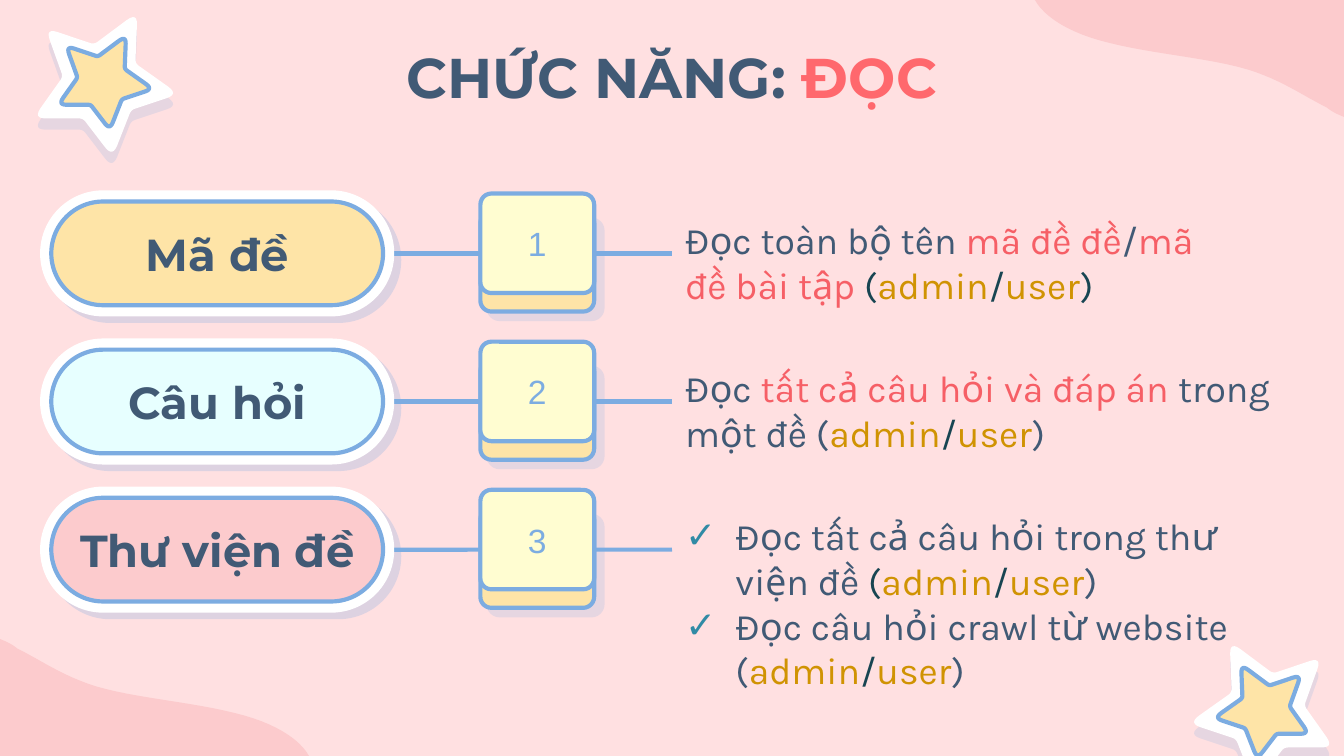
from math import comb

from lxml import etree
from pptx import Presentation
from pptx.dml.color import RGBColor
from pptx.enum.shapes import MSO_CONNECTOR, MSO_SHAPE
from pptx.enum.text import MSO_ANCHOR, MSO_AUTO_SIZE, PP_ALIGN
from pptx.oxml.ns import qn
from pptx.util import Cm, Pt

ROUNDED = MSO_SHAPE.ROUNDED_RECTANGLE
STRAIGHT = MSO_CONNECTOR.STRAIGHT
TOP, MIDDLE = MSO_ANCHOR.TOP, MSO_ANCHOR.MIDDLE
LEFT, CENTER = PP_ALIGN.LEFT, PP_ALIGN.CENTER

COLORS = {
    "back": "FFE0E1", "pink": "FCCBCD", "white": "FFFFFF", "yellow": "FEE4A7",
    "cream": "FFFDD1", "ice": "E7FFFF", "blue": "7CACE1", "text": "415A75",
    "red": "FF686D", "coral": "F65F66", "dark": "184552", "gold": "D09302",
    "teal": "318BA5",
}
WIDTH, HEIGHT = 25.4, 14.29
ROW_TOP, ROW_STEP = 3.81, 2.8
PILL_X, PILL_W, PILL_H = 0.97, 6.27, 1.96
CARD_X, CARD_W, CARD_H = 9.08, 2.15, 1.88
TEXT_X, TEXT_H = 12.7, 1.88

WAVE_START = (19.56, 0)
WAVE_CURVES = [
    [(19.74, 0.33), (20.24, 0.64), (20.96, 0.81)],
    [(21.77, 1.02), (22.83, 1.09), (23.6, 1.32)],
    [(24.23, 1.52), (24.61, 1.8), (25.07, 2.03)],
    [(25.17, 2.11), (25.27, 2.16), (25.4, 2.21)],
]
# Star corners around its centre, tips and valleys in turn
STAR = [(0.62, -1.27), (-0.2, -0.66), (-1.12, -0.97), (-0.79, -0.05),
        (-1.35, 0.74), (-0.41, 0.74), (0.15, 1.47), (0.5, 0.58),
        (1.4, 0.28), (0.58, -0.3)]

USERS = [("admin", "gold"), ("/", "dark"), ("user", "gold")]
ROWS = [
    ("Mã đề", "yellow", 11.05, [
        [("Đọc toàn bộ tên ", "text"), ("mã đề đề", "coral"), ("/", "text"),
         ("mã đề bài tập ", "coral"), ("(", "dark"), *USERS, (")", "dark")]]),
    ("Câu hỏi", "ice", 11.76, [
        [("Đọc ", "text"), ("tất cả câu hỏi và đáp án ", "coral"),
         ("trong một đề (", "text"), *USERS, (")", "text")]]),
    ("Thư viện đề", "pink", 11.76, [
        [("Đọc tất cả câu hỏi trong thư viện đề", "text"), (" (", "dark"),
         *USERS, (")", "text")],
        [("Đọc câu hỏi crawl từ website (", "text"), *USERS, (")", "text")]]),
]


def rgb(name):
    return RGBColor.from_string(COLORS[name])


def style(shape, fill, line=None, width=2.25):
    shape.shadow.inherit = False
    shape.fill.solid()
    shape.fill.fore_color.rgb = rgb(fill)
    if line:
        shape.line.color.rgb = rgb(line)
        shape.line.width = Pt(width)
    else:
        shape.line.fill.background()


def add_shadow(shape, alpha, dist, angle):
    effects = shape._element.spPr.find(qn("a:effectLst"))
    shadow = etree.SubElement(effects, qn("a:outerShdw"), dist=str(Pt(dist)),
                              dir=str(angle * 60000), algn="bl", rotWithShape="0")
    color = etree.SubElement(shadow, qn("a:srgbClr"), val=COLORS["blue"])
    etree.SubElement(color, qn("a:alpha"), val=str(alpha * 1000))


def curve(points, steps=12):
    """Points along the Bezier curve of any degree."""
    n = len(points) - 1
    result = []
    for i in range(steps + 1):
        t = i / steps
        weights = [comb(n, k) * t**k * (1 - t)**(n - k) for k in range(n + 1)]
        result.append(tuple(sum(w * pt[axis] for w, pt in zip(weights, points))
                            for axis in (0, 1)))
    return result


def add_outline(s, points):
    emu = [(Cm(x), Cm(y)) for x, y in points]
    builder = s.shapes.build_freeform(*emu[0])
    builder.add_line_segments(emu[1:], close=True)
    return builder.convert_to_shape()


def add_waves(s):
    """Top right corner, and the same turned half round at bottom left."""
    points = [WAVE_START]
    for bends in WAVE_CURVES:
        points += curve([points[-1], *bends])[1:]
    points.append((WIDTH, 0))
    turned = [(WIDTH - x, HEIGHT - y) for x, y in points]
    for outline in (points, turned):
        style(add_outline(s, outline), "pink")


def rounded_star():
    points = []
    for i, corner in enumerate(STAR):
        cut = 0.08 if i % 2 else 0.25
        before, after = (
            tuple(c + cut * (o - c) for c, o in zip(corner, other))
            for other in (STAR[i - 1], STAR[(i + 1) % len(STAR)]))
        points += curve([before, corner, after], 6)
    return points


def add_star(s, cx, cy, flip):
    def sized(scale):
        return [(cx + flip * scale * x, cy + scale * y) for x, y in rounded_star()]

    outer = add_outline(s, sized(1))
    style(outer, "white")
    add_shadow(outer, 19, 6, 90)
    style(add_outline(s, sized(0.65)), "yellow", "blue")


def add_rounded(s, x, y, w, h, radius, fill, line="blue", width=2.25):
    shape = s.shapes.add_shape(ROUNDED, Cm(x), Cm(y), Cm(w), Cm(h))
    shape.adjustments[0] = radius
    style(shape, fill, line, width)
    return shape


def set_text(shape, paragraphs, font, size, bold=False, align=LEFT, anchor=TOP):
    tf = shape.text_frame
    tf.word_wrap = True
    tf.auto_size = MSO_AUTO_SIZE.NONE
    tf.vertical_anchor = anchor
    tf.margin_left = tf.margin_right = tf.margin_top = tf.margin_bottom = Cm(0.25)
    for i, runs in enumerate(paragraphs):
        p = tf.add_paragraph() if i else tf.paragraphs[0]
        p.alignment = align
        p.space_before = Pt(0)
        for text, color in runs:
            r = p.add_run()
            r.text = text
            r.font.name, r.font.size, r.font.bold = font, Pt(size), bold
            r.font.color.rgb = rgb(color)


def add_checks(tf):
    for p in tf.paragraphs:
        pPr = p._p.get_or_add_pPr()
        pPr.set("marL", str(Cm(0.95)))
        pPr.set("indent", str(-Cm(0.95)))
        color = etree.SubElement(pPr, qn("a:buClr"))
        etree.SubElement(color, qn("a:srgbClr"), val=COLORS["teal"])
        etree.SubElement(pPr, qn("a:buChar"), char="✓")


def place(shape, x, y, w, h):
    shape.left, shape.top, shape.width, shape.height = Cm(x), Cm(y), Cm(w), Cm(h)


def add_link(s):
    link = s.shapes.add_connector(STRAIGHT, 0, 0, 0, 0)
    link.line.color.rgb = rgb("blue")
    link.line.width = Pt(2.25)
    etree.SubElement(link._element.spPr, qn("a:effectLst"))
    return link


def add_pill(s, top, label, fill):
    box = (PILL_X, top, PILL_W, PILL_H, 0.5)
    rim = add_rounded(s, *box, "white", "white", 12)
    add_shadow(rim, 25, 5.2, 43)
    pill = add_rounded(s, *box, fill)
    set_text(pill, [[(label, "text")]], "Montserrat", 24, True, CENTER, MIDDLE)
    return pill


def add_card(s, top, number):
    base = add_rounded(s, CARD_X, top + 0.2, CARD_W, CARD_H, 0.11, "yellow")
    add_shadow(base, 18, 6, 42)
    card = add_rounded(s, CARD_X, top - 0.15, CARD_W, CARD_H, 0.11, "cream")
    set_text(card, [[(str(number), "blue")]], "Arial", 18, False, CENTER, MIDDLE)


def add_row(s, number, label, fill, width, paragraphs):
    top = ROW_TOP + (number - 1) * ROW_STEP
    link = add_link(s)
    pill = add_pill(s, top, label, fill)
    is_list = len(paragraphs) > 1
    note = s.placeholders[1] if is_list else s.shapes.add_textbox(0, 0, 0, 0)
    place(note, TEXT_X, top + 0.04, width, TEXT_H)
    set_text(note, paragraphs, "Karla", 20)
    if is_list:
        add_checks(note.text_frame)
    link.begin_connect(pill, 3)
    link.end_connect(note, 1)
    add_card(s, top, number)


def main():
    prs = Presentation()
    prs.slide_width, prs.slide_height = Cm(WIDTH), Cm(HEIGHT)
    s = prs.slides.add_slide(prs.slide_layouts[1])
    s.background.fill.solid()
    s.background.fill.fore_color.rgb = rgb("back")
    add_waves(s)
    add_star(s, 1.98, 1.5, 1)
    add_star(s, 23.86, 13.39, -1)
    title = s.shapes.title
    place(title, 1.98, 0.56, 21.44, 1.6)
    set_text(title, [[("CHỨC NĂNG: ", "text"), ("ĐỌC", "red")]],
             "Montserrat", 30, True, CENTER)
    for number, row in enumerate(ROWS, 1):
        add_row(s, number, *row)
    prs.save("out.pptx")


if __name__ == "__main__":
    main()
